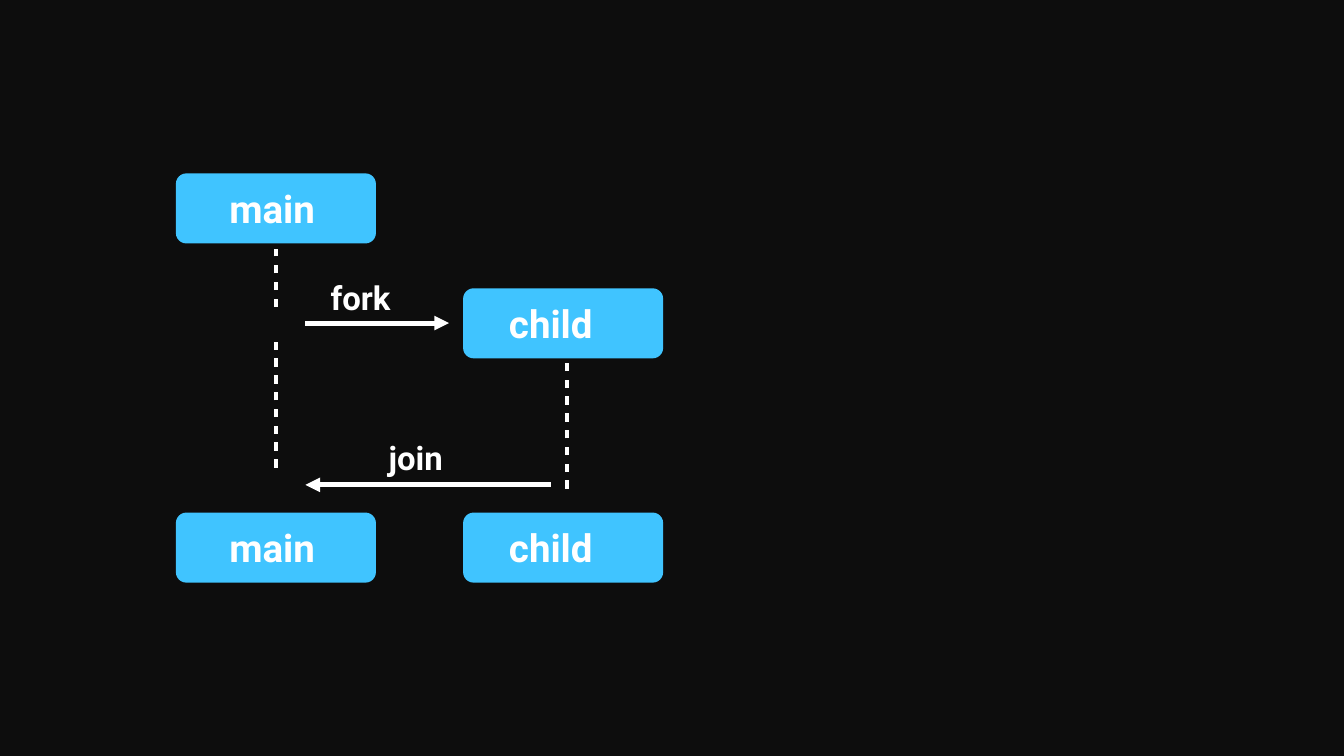
from lxml import etree
from pptx import Presentation
from pptx.dml.color import RGBColor
from pptx.enum import shapes, text
from pptx.oxml.ns import qn
from pptx.util import Inches, Pt

BACKGROUND = RGBColor(0x0D, 0x0D, 0x0D)
BLUE = RGBColor(0x40, 0xC4, 0xFF)
WHITE = RGBColor(0xFF, 0xFF, 0xFF)
FONT = "Roboto"
BOX_WIDTH, BOX_HEIGHT = 3.97, 1.39
MAIN_LEFT, CHILD_LEFT = 3.49, 9.19
MAIN_LABEL = {"content": "main", "indent": 1, "width": 1.96}
CHILD_LABEL = {"content": "child", "indent": 0.85, "width": 2.42}


def add_text(slide, content, left, top, width, height, size):
    shape = slide.shapes.add_textbox(
        Inches(left), Inches(top), Inches(width), Inches(height)
    )
    frame = shape.text_frame
    frame.word_wrap = False
    frame.auto_size = text.MSO_AUTO_SIZE.SHAPE_TO_FIT_TEXT
    frame.vertical_anchor = text.MSO_ANCHOR.MIDDLE
    frame.margin_left = frame.margin_right = Inches(0.06)
    frame.margin_top = frame.margin_bottom = Inches(0.06)
    paragraph = frame.paragraphs[0]
    paragraph.alignment = text.PP_ALIGN.LEFT
    run = paragraph.add_run()
    run.text = content
    run.font.name = FONT
    run.font.size = Pt(size)
    run.font.bold = True
    run.font.color.rgb = WHITE


def add_process(slide, left, top, content, indent, width):
    shape = slide.shapes.add_shape(
        shapes.MSO_SHAPE.ROUNDED_RECTANGLE,
        Inches(left), Inches(top), Inches(BOX_WIDTH), Inches(BOX_HEIGHT),
    )
    shape.adjustments[0] = 0.15
    shape.shadow.inherit = False
    shape.fill.solid()
    shape.fill.fore_color.rgb = BLUE
    shape.line.fill.background()
    add_text(slide, content, left + indent, top + 0.12, width, 1.14, 55)


def add_line(slide, start, end, weight):
    connector = slide.shapes.add_connector(
        shapes.MSO_CONNECTOR.STRAIGHT, *map(Inches, (*start, *end))
    )
    connector.line.color.rgb = WHITE
    connector.line.width = Pt(weight)
    properties = connector._element.spPr
    etree.SubElement(properties, qn("a:effectLst"))
    return properties.find(qn("a:ln"))


def add_lifeline(slide, x, bottom, top):
    line = add_line(slide, (x, bottom), (x, top), 6)
    dashes = etree.SubElement(line, qn("a:custDash"))
    etree.SubElement(dashes, qn("a:ds"), d="200000", sp="200000")


def add_message(slide, content, left, right, y, label_left, label_top, arrow_end):
    line = add_line(slide, (left, y), (right, y), 7)
    etree.SubElement(line, qn(arrow_end), type="triangle")
    add_text(slide, content, label_left, label_top, 1.7, 1, 47)


def add_fork_join(slide):
    for left, tops, label in (
        (MAIN_LEFT, (3.44, 10.17), MAIN_LABEL),
        (CHILD_LEFT, (5.72, 10.17), CHILD_LABEL),
    ):
        for top in tops:
            add_process(slide, left, top, **label)

    for x, bottom, top in ((5.47, 6.09, 4.95), (5.47, 9.28, 6.76), (11.25, 9.7, 7.06)):
        add_lifeline(slide, x, bottom, top)

    add_message(slide, "fork", 6.06, 8.91, 6.41, 6.5, 5.41, "a:tailEnd")
    add_message(slide, "join", 6.06, 10.94, 9.62, 7.65, 8.58, "a:headEnd")


def main():
    presentation = Presentation()
    presentation.slide_width = Inches(26.67)
    presentation.slide_height = Inches(15)
    slide = presentation.slides.add_slide(presentation.slide_layouts[6])
    slide.background.fill.solid()
    slide.background.fill.fore_color.rgb = BACKGROUND
    add_fork_join(slide)
    presentation.save("out.pptx")


if __name__ == "__main__":
    main()
